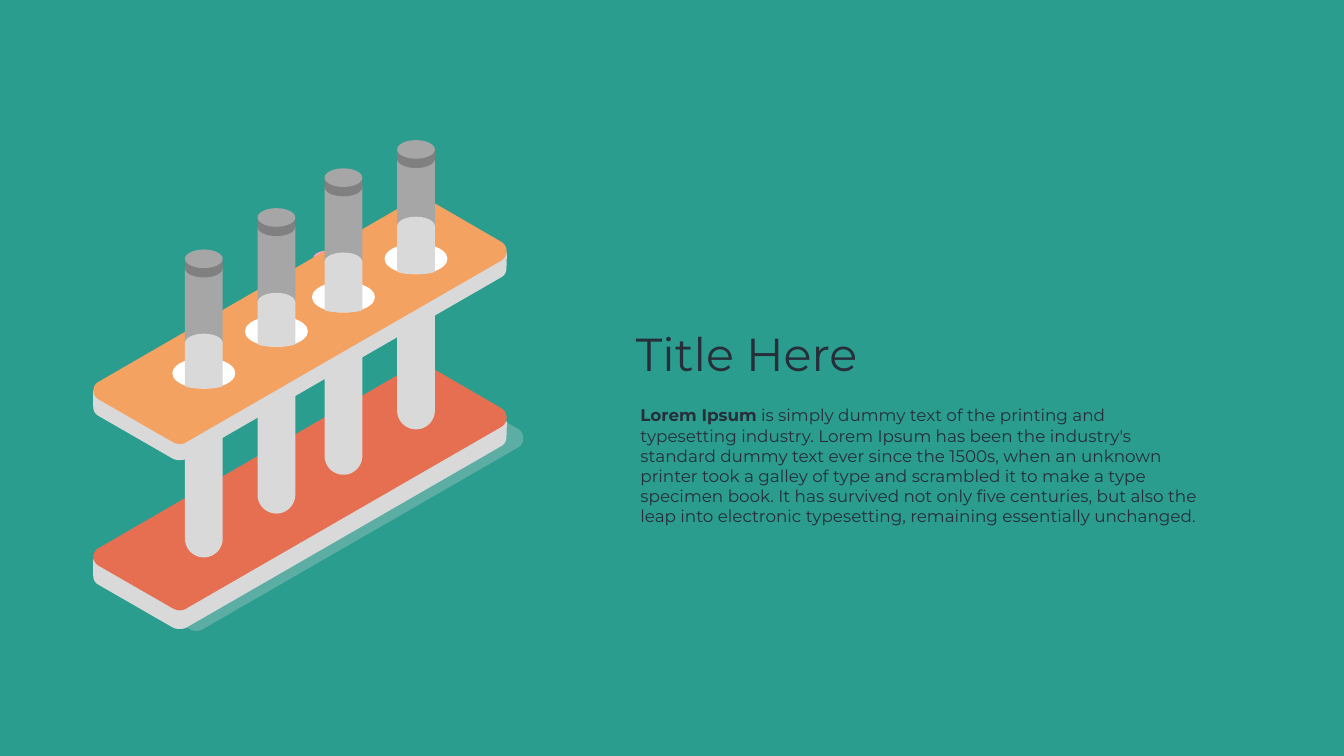
import math
from pptx import Presentation, util as u
from pptx.dml.color import RGBColor
from pptx.enum import shapes, text
from pptx.oxml import parse_xml
from pptx.oxml.ns import nsdecls

# Content
WIDTH, HEIGHT = 26.67, 15
FONT = "Montserrat"
TITLE = "Title Here"
BODY = [
    ("Lorem Ipsum", True),
    ("\u00a0is simply dummy text of the printing and typesetting industry. "
     "Lorem Ipsum has been the industry's standard dummy text ever since the "
     "1500s, when an unknown printer took a galley of type and scrambled it to "
     "make a type specimen book. It has survived not only five centuries, but "
     "also the leap into electronic typesetting, remaining essentially "
     "unchanged.", False),
]
COLORS = {
    "back": "2A9D8F", "ink": "272E3A", "light": "D9D9D9", "glass": "A6A6A6",
    "cap": "808080", "hole": "FFFFFF", "base": "E76F51", "shelf": "F4A261",
    "knob": "FF5B97", "knob_top": "FF9FC6",
}

# Tubes: left, cap top, liquid top, hole top, foot
TUBES = [
    (3.67, 4.95, 6.62, 7.1, 11.06),
    (5.11, 4.13, 5.81, 6.27, 10.19),
    (6.44, 3.34, 5.01, 5.59, 9.42),
    (7.88, 2.78, 4.3, 4.83, 8.52),
]
TUBE, CAP = 0.75, 0.37
HOLE_W, HOLE_H = 1.25, 0.61

# Plate outlines, relative to the top of the plate: lines (x, y) or
# curves (x1, y1, x2, y2, x, y)
PLATE = [(8.36, 0), (8.28, 0, 8.21, 0.02, 8.14, 0.06), (1.95, 3.64),
         (1.82, 3.71, 1.82, 3.9, 1.95, 3.98), (3.41, 4.82),
         (3.46, 4.85, 3.51, 4.87, 3.57, 4.87),
         (3.62, 4.87, 3.68, 4.85, 3.72, 4.82), (9.95, 1.23),
         (10.09, 1.15, 10.09, 0.94, 9.95, 0.86), (8.57, 0.06),
         (8.5, 0.02, 8.43, 0, 8.36, 0)]
SIDE = [(8.36, 0), (8.28, 0, 8.21, 0.02, 8.14, 0.06), (2.25, 3.47),
        (1.85, 3.48), (1.85, 3.8), (1.85, 3.87, 1.88, 3.94, 1.95, 3.98),
        (3.41, 4.82), (3.46, 4.85, 3.51, 4.86, 3.57, 4.86),
        (3.62, 4.86, 3.68, 4.85, 3.72, 4.82), (9.95, 1.23),
        (10.02, 1.19, 10.05, 1.12, 10.05, 1.05), (10.06, 0.74),
        (9.87, 0.81), (8.57, 0.06), (8.5, 0.02, 8.43, 0, 8.36, 0)]

deck = Presentation()
deck.slide_width, deck.slide_height = u.Inches(WIDTH), u.Inches(HEIGHT)
page = deck.slides.add_slide(deck.slide_layouts[5])


def rgb(name):
    return RGBColor.from_string(COLORS[name])


def paint(shape, color):
    shape.shadow.inherit = False
    shape.fill.solid()
    shape.fill.fore_color.rgb = rgb(color)
    shape.line.fill.background()
    return shape


def polygon(points, color):
    corners = [(u.Inches(x), u.Inches(y)) for x, y in points]
    builder = page.shapes.build_freeform(*corners[0])
    builder.add_line_segments(corners[1:], close=True)
    return paint(builder.convert_to_shape(), color)


def outline(path_steps, dx, dy, color, steps=8):
    """Draw lines and sampled Bezier curves as one closed shape."""
    points = []
    for step in path_steps:
        if len(step) == 2:
            points.append(step)
            continue
        nodes = [points[-1], step[:2], step[2:4], step[4:]]
        for i in range(1, steps + 1):
            t = i / steps
            weights = [(1 - t) ** 3, 3 * t * (1 - t) ** 2,
                       3 * t * t * (1 - t), t ** 3]
            points.append(tuple(sum(w * node[axis] for w, node in zip(weights, nodes))
                                for axis in (0, 1)))
    return polygon([(x + dx, y + dy) for x, y in points], color)


def oval(left, top, width, height, color):
    box = [u.Inches(v) for v in (left, top, width, height)]
    return paint(page.shapes.add_shape(shapes.MSO_SHAPE.OVAL, *box), color)


def column(left, top, bottom, depth, color, width=TUBE, steps=24):
    """Draw a flat-topped column whose foot is a half ellipse."""
    radius = width / 2
    angles = [math.pi * i / steps for i in range(steps + 1)]
    foot = [(left + radius + radius * math.cos(a),
             bottom - depth + depth * math.sin(a)) for a in angles]
    return polygon([(left, top), (left + width, top)] + foot, color)


def write(para, content, size, bold=False):
    span = para.add_run()
    span.text = content
    span.font.name, span.font.size, span.font.bold = FONT, u.Pt(size), bold
    span.font.color.rgb = rgb("ink")


# Background
page.background.fill.solid()
page.background.fill.fore_color.rgb = rgb("back")

# Knob behind the rack
column(6.22, 5.11, 5.4, 0.14, "knob", width=0.59)
oval(6.22, 4.97, 0.59, 0.29, "knob_top")

# Base plate with its translucent shadow
shade = outline(PLATE, 0.33, 7.65, "light")
tint = shade.fill._xPr.solidFill[0]
tint.append(parse_xml(f'<a:alpha {nsdecls("a")} val="29000"/>'))
outline(SIDE, 0, 7.62, "light")
outline(PLATE, 0, 7.24, "base")

# Tube stems, then the shelf that covers their tops
for left, _, _, hole, foot in TUBES:
    column(left, hole + 2 * HOLE_H, foot, TUBE / 2, "light")
outline(SIDE, 0, 4.27, "light")
outline(PLATE, 0, 3.94, "shelf")

# Holes and upper tubes
for left, cap, liquid, hole, _ in TUBES:
    oval(left - (HOLE_W - TUBE) / 2, hole, HOLE_W, HOLE_H, "hole")
    column(left, cap + CAP, liquid + CAP / 2, 0, "glass")
    column(left, liquid + CAP / 2, hole + HOLE_H, 0.06, "light")
    oval(left, liquid, TUBE, CAP, "light")
    column(left, cap + CAP / 2, cap + 1.5 * CAP, CAP / 2, "cap")
    oval(left, cap, TUBE, CAP, "glass")

# Title
title = page.shapes.title
title.left, title.top, title.width, title.height = [
    u.Inches(v) for v in (12.35, 6.3, 11.65, 1.27)]
frame = title.text_frame
frame.margin_left = frame.margin_right = u.Inches(0.27)
frame.margin_top = frame.margin_bottom = u.Inches(0.27)
frame.vertical_anchor = text.MSO_ANCHOR.TOP
frame.auto_size = text.MSO_AUTO_SIZE.NONE
frame.word_wrap = True
para = frame.paragraphs[0]
para.alignment, para.line_spacing = text.PP_ALIGN.LEFT, 0.9
write(para, TITLE, 66)

# Body
box = page.shapes.add_textbox(*[u.Inches(v) for v in (12.61, 7.99, 11.4, 2.52)])
box.text_frame.word_wrap = True
box.text_frame.auto_size = text.MSO_AUTO_SIZE.SHAPE_TO_FIT_TEXT
for content, bold in BODY:
    write(box.text_frame.paragraphs[0], content, 24, bold)

deck.save("out.pptx")
